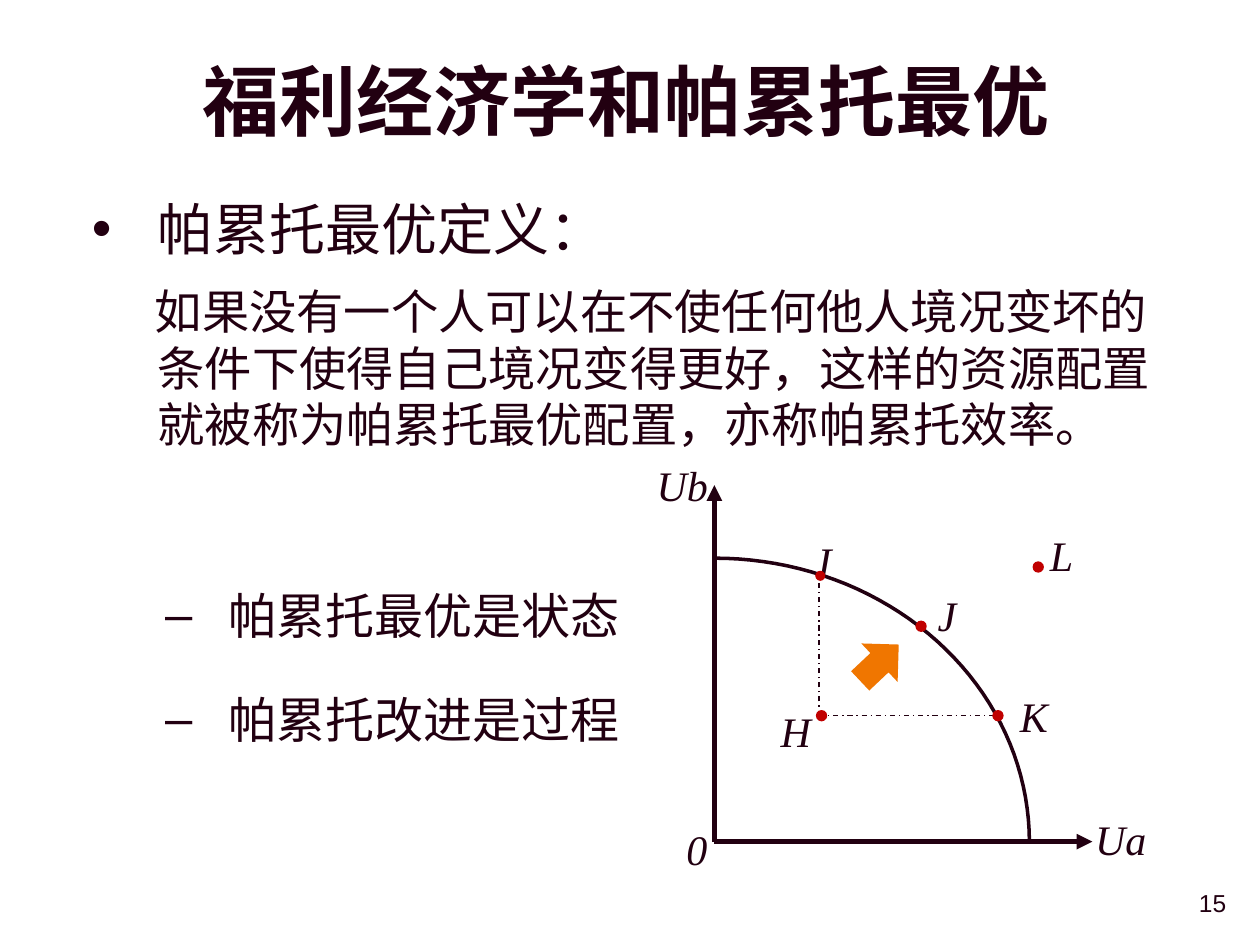
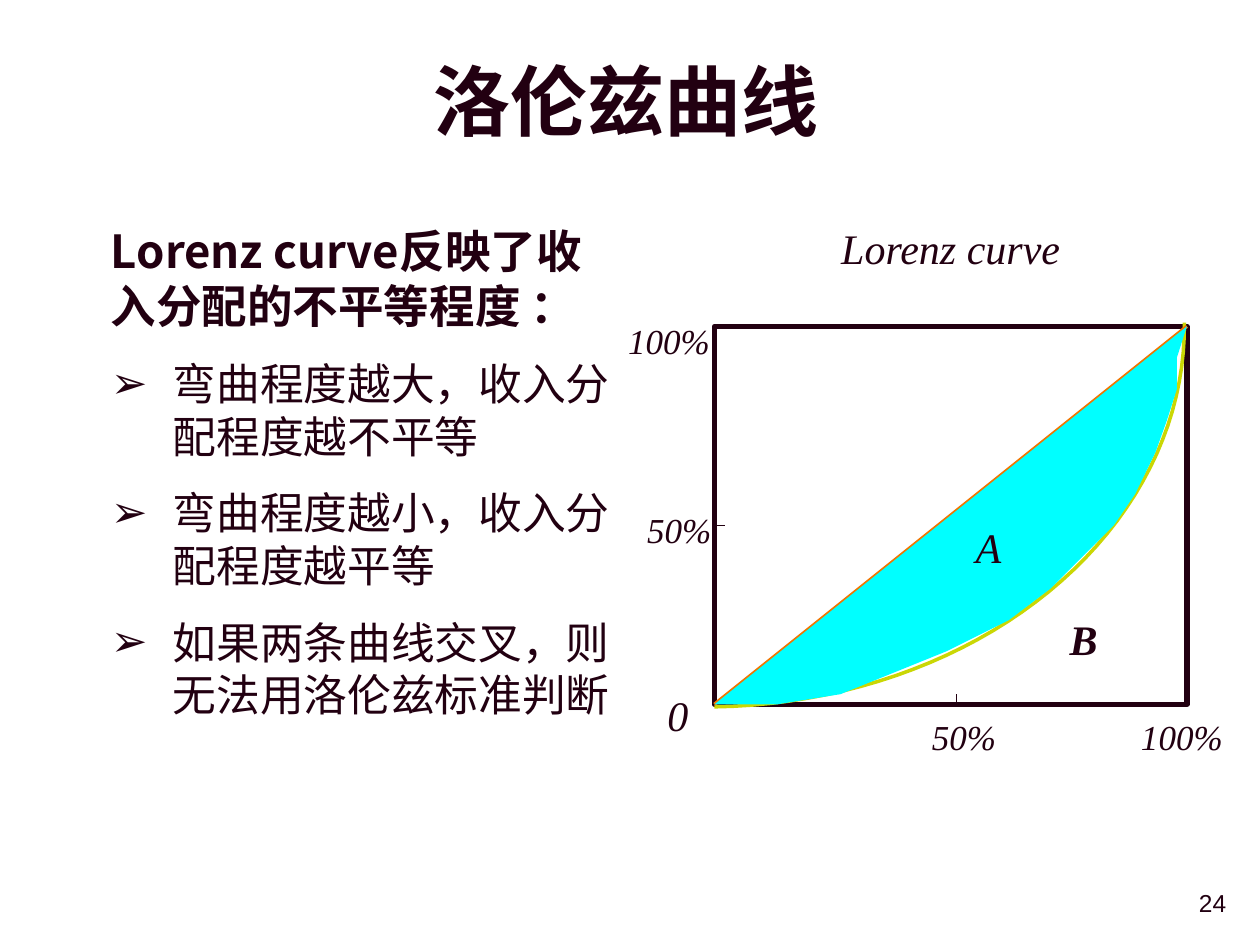
import math

from lxml import etree
from pptx import Presentation
from pptx.dml.color import RGBColor
from pptx.enum.dml import MSO_LINE
from pptx.enum.shapes import MSO_CONNECTOR, MSO_SHAPE
from pptx.enum.text import MSO_ANCHOR, MSO_AUTO_SIZE, PP_ALIGN
from pptx.oxml.ns import qn
from pptx.util import Inches, Pt

STRAIGHT = MSO_CONNECTOR.STRAIGHT
DASH_DOT = MSO_LINE.DASH_DOT
RECTANGLE, OVAL, UP_ARROW = MSO_SHAPE.RECTANGLE, MSO_SHAPE.OVAL, MSO_SHAPE.UP_ARROW
CENTER, LEFT, RIGHT = PP_ALIGN.CENTER, PP_ALIGN.LEFT, PP_ALIGN.RIGHT
TOP, MIDDLE = MSO_ANCHOR.TOP, MSO_ANCHOR.MIDDLE
FIXED_SIZE = MSO_AUTO_SIZE.NONE

INK, ORANGE, RED = "220011", "F07600", "C00000"
CYAN, OLIVE = "00FFFF", "CAD704"
HAN_FONT, HAN_FONT_ALTERNATE = "Noto Sans CJK SC", "Noto Sans CJK JP"
LABEL_FONT, NUMBER_FONT = "Times New Roman", "Arial"
HAN_LINE_HEIGHT = 1.2


def rgb(color):
    return RGBColor.from_string(color)


# Text
def add_run(paragraph, text, size, font=HAN_FONT, bold=False, italic=False):
    run = paragraph.add_run()
    run.text = text
    run.font.size = Pt(size)
    run.font.name = font
    run.font.bold, run.font.italic = bold, italic
    run.font.color.rgb = rgb(INK)
    east_asian = etree.Element(qn("a:ea"), typeface=font)
    run.font._element.find(qn("a:latin")).addnext(east_asian)


def place(shape, left, top, width, height):
    shape.left, shape.top = Inches(left), Inches(top)
    shape.width, shape.height = Inches(width), Inches(height)


def set_title(slide, text, font=HAN_FONT):
    title = slide.shapes.title
    place(title, 0.47, 0.25, 9, 1.08)
    frame = title.text_frame
    frame.auto_size, frame.vertical_anchor = FIXED_SIZE, MIDDLE
    frame.paragraphs[0].alignment = CENTER
    add_run(frame.paragraphs[0], text, 44, font, bold=True)


def open_body(slide, box):
    body = slide.placeholders[1]
    place(body, *box)
    frame = body.text_frame
    frame.auto_size, frame.vertical_anchor = FIXED_SIZE, TOP
    return frame


def add_item(frame, text, size, before=0, level=0, bullet=None,
             margin=0.0, hanging=0.0, spacing=1.0, bold=False):
    first = frame.paragraphs[0]
    paragraph = frame.add_paragraph() if first.runs else first
    paragraph.level, paragraph.alignment = level, LEFT
    paragraph.line_spacing = Pt(size * HAN_LINE_HEIGHT * spacing)
    paragraph.space_before = Pt(before)
    properties = paragraph._p.get_or_add_pPr()
    properties.set("marL", str(Inches(margin)))
    properties.set("indent", str(-Inches(hanging)))
    if bullet:
        etree.SubElement(properties, qn("a:buChar"), char=bullet)
    else:
        etree.SubElement(properties, qn("a:buNone"))
    add_run(paragraph, text, size, bold=bold)


def add_text(slide, text, box, size, font, align, spacing=1.0, bold=False, italic=False):
    text_box = slide.shapes.add_textbox(*map(Inches, box))
    text_box.text_frame.word_wrap = True
    paragraph = text_box.text_frame.paragraphs[0]
    paragraph.alignment, paragraph.line_spacing = align, spacing
    add_run(paragraph, text, size, font, bold, italic)


def add_label(slide, text, left, top, width, size=24, bold=False):
    height = 0.58 if size == 24 else 0.5
    add_text(slide, text, (left, top, width, height), size, LABEL_FONT, CENTER,
             spacing=1.2, bold=bold, italic=True)


def add_page_number(slide, number):
    add_text(slide, str(number), (7.75, 7, 2.08, 0.5), 14, NUMBER_FONT, RIGHT)


# Lines and shapes
def add_line(slide, start, end, width, color=INK, dash=None, arrow=False):
    line = slide.shapes.add_connector(STRAIGHT, *map(Inches, start + end))
    line.line.color.rgb, line.line.width = rgb(color), Pt(width)
    if dash:
        line.line.dash_style = dash
    if arrow:
        etree.SubElement(line.line._get_or_add_ln(), qn("a:tailEnd"), type="triangle")
    etree.SubElement(line._element.spPr, qn("a:effectLst"))


def paint(shape, fill=None, line=None, width=0):
    shape.shadow.inherit = False
    if fill:
        shape.fill.solid()
        shape.fill.fore_color.rgb = rgb(fill)
    else:
        shape.fill.background()
    if line:
        shape.line.color.rgb, shape.line.width = rgb(line), Pt(width)
    else:
        shape.line.fill.background()


def add_preset(slide, preset, box, **style):
    shape = slide.shapes.add_shape(preset, *map(Inches, box))
    paint(shape, **style)
    return shape


def add_outline(slide, points, close=False, **style):
    vertices = [(Inches(x), Inches(y)) for x, y in points]
    builder = slide.shapes.build_freeform(*vertices[0])
    builder.add_line_segments(vertices[1:], close=close)
    paint(builder.convert_to_shape(), **style)


def quarter_ellipse(center, first_axis, second_axis, steps=40):
    """Points from the end of first_axis to the end of second_axis."""
    angles = [math.pi / 2 * step / steps for step in range(steps + 1)]
    return [tuple(c + a * math.cos(angle) + b * math.sin(angle)
                  for c, a, b in zip(center, first_axis, second_axis))
            for angle in angles]


def add_dot(slide, x, y, size=0.09):
    add_preset(slide, OVAL, (x - size / 2, y - size / 2, size, size), fill=RED)


# Slides
def build_pareto(slide):
    set_title(slide, "福利经济学和帕累托最优")
    frame = open_body(slide, (0.63, 1.49, 8.67, 5))
    add_item(frame, "帕累托最优定义：", 32, bullet="•", margin=0.52, hanging=0.52)
    add_item(frame, "如果没有一个人可以在不使任何他人境况变坏的条件下使得自己境况变得更好，"
             "这样的资源配置就被称为帕累托最优配置，亦称帕累托效率。",
             27, before=12, margin=0.52, hanging=0.02)
    for text, before in (("帕累托最优是状态", 66), ("帕累托改进是过程", 15.8)):
        add_item(frame, text, 28, before, level=1, bullet="–",
                 margin=1.08, hanging=0.5, spacing=1.3)

    # Axes and utility frontier
    origin = (5.67, 6.68)
    add_line(slide, origin, (8.67, 6.68), 3, arrow=True)
    add_line(slide, origin, (5.67, 3.85), 3, arrow=True)
    add_outline(slide, quarter_ellipse(origin, (0, -2.25), (2.5, 0)), line=INK, width=2)

    # Improvement region
    corner = (6.5, 5.68)
    for end in ((6.5, 4.6), (7.92, 5.68)):
        add_line(slide, corner, end, 0.75, dash=DASH_DOT)
    add_preset(slide, UP_ARROW, (6.77, 5.05, 0.42, 0.42), fill=ORANGE).rotation = 46.7

    for text, left, top, width in (
            ("0", 5.28, 6.41, 0.5), ("Ua", 8.52, 6.33, 0.75), ("Ub", 5, 3.52, 0.83),
            ("H", 5.86, 5.47, 0.91), ("K", 7.75, 5.35, 0.91), ("I", 6.09, 4.12, 0.91),
            ("L", 7.97, 4.07, 0.91), ("J", 7.06, 4.55, 0.91)):
        add_label(slide, text, left, top, width)
    for x, y in ((6.52, 5.68), (7.31, 4.97), (7.92, 5.68), (8.24, 4.5)):
        add_dot(slide, x, y)
    add_dot(slide, 6.51, 4.57, size=0.08)
    add_page_number(slide, 15)


def build_lorenz(slide):
    set_title(slide, "洛伦兹曲线", HAN_FONT_ALTERNATE)
    frame = open_body(slide, (0.78, 1.72, 4.24, 4.45))
    add_item(frame, "Lorenz curve反映了收入分配的不平等程度 ：", 26, level=1, bold=True)
    for text in ("弯曲程度越大，收入分配程度越不平等",
                 "弯曲程度越小，收入分配程度越平等",
                 "如果两条曲线交叉，则无法用洛伦兹标准判断"):
        add_item(frame, text, 25, before=14, level=2, bullet="➢",
                 margin=0.49, hanging=0.49)

    # Plot frame and ticks
    left, top, width, height = 5.67, 2.59, 3.75, 3
    right, bottom = left + width, top + height
    add_preset(slide, RECTANGLE, (left, top, width, height), line=INK, width=3)
    add_line(slide, (left, 4.17), (left + 0.08, 4.17), 0.75)
    add_line(slide, (7.59, bottom), (7.59, bottom - 0.08), 0.75)
    for text, x, y in (("100%", 4.77, 2.42), ("50%", 4.85, 3.92),
                       ("50%", 7.11, 5.56), ("100%", 8.84, 5.56)):
        add_label(slide, text, x, y, 1.08, size=20)

    # Lorenz curve, equality line and the area between them
    add_outline(slide, quarter_ellipse((5.63, 2.61), (3.77, -0.05), (0.04, 3)),
                line=OLIVE, width=2)
    add_line(slide, (left, bottom), (right, top), 2, ORANGE)
    area = [(left, bottom), (right, top), (9.34, 2.84), (9.34, 3.09), (9.26, 3.34),
            (9.17, 3.59), (9.01, 3.92), (8.84, 4.17), (8.59, 4.42), (8.34, 4.67),
            (8.01, 4.92), (7.51, 5.17), (7.09, 5.34), (6.67, 5.51), (6.17, bottom)]
    add_outline(slide, area, close=True, fill=CYAN)

    add_label(slide, "0", 5.17, 5.34, 0.42)
    add_label(slide, "A", 7.51, 4.01, 0.67)
    add_label(slide, "B", 8.28, 4.74, 0.64, bold=True)
    add_label(slide, "Lorenz curve", 6.57, 1.64, 1.95)
    add_page_number(slide, 24)


def main():
    presentation = Presentation()
    presentation.slide_width, presentation.slide_height = Inches(10), Inches(7.5)
    layout = presentation.slide_layouts[1]
    for build in (build_pareto, build_lorenz):
        build(presentation.slides.add_slide(layout))
    presentation.save("out.pptx")


if __name__ == "__main__":
    main()
